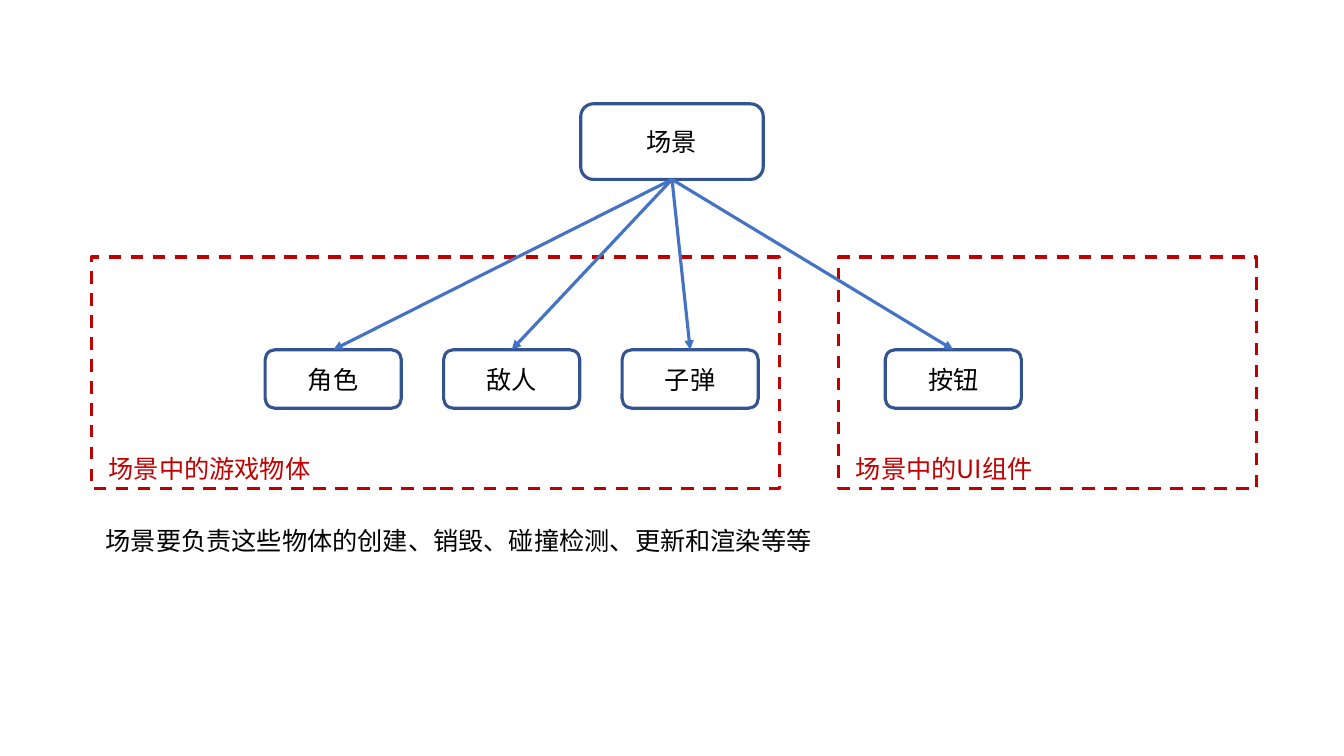
from dataclasses import dataclass

from lxml import etree
from pptx import Presentation
from pptx.dml.color import RGBColor
from pptx.enum.dml import MSO_LINE
from pptx.enum.shapes import MSO_CONNECTOR, MSO_SHAPE
from pptx.enum.text import MSO_ANCHOR, PP_ALIGN
from pptx.oxml.ns import qn
from pptx.util import Pt

EMU_PER_PX = 9144  # 100 px to the inch
RECTANGLE, ROUNDED = MSO_SHAPE.RECTANGLE, MSO_SHAPE.ROUNDED_RECTANGLE
STRAIGHT, DASH = MSO_CONNECTOR.STRAIGHT, MSO_LINE.DASH
CENTER, LEFT, MIDDLE = PP_ALIGN.CENTER, PP_ALIGN.LEFT, MSO_ANCHOR.MIDDLE
TOP_SIDE, BOTTOM_SIDE = 0, 2


@dataclass(frozen=True)
class Theme:
    node_line: RGBColor = RGBColor(0x32, 0x54, 0x91)
    arrow: RGBColor = RGBColor(0x44, 0x72, 0xC4)
    group: RGBColor = RGBColor(0xC0, 0x00, 0x00)
    text: RGBColor = RGBColor(0x00, 0x00, 0x00)
    node_font: str = "DejaVu Sans Mono"
    text_font: str = "Noto Sans CJK SC"
    text_size: Pt = Pt(18)
    line_width: Pt = Pt(2.25)


THEME = Theme()


def px(*lengths):
    return [length * EMU_PER_PX for length in lengths]


def write(frame, words, font_name, color, align):
    frame.word_wrap = True
    paragraph = frame.paragraphs[0]
    paragraph.text = words
    paragraph.alignment = align
    font = paragraph.font
    font.name, font.size = font_name, THEME.text_size
    font.color.rgb = color
    properties = paragraph._p.pPr.find(qn("a:defRPr"))
    etree.SubElement(properties, qn("a:ea"), typeface=THEME.text_font)


def add_outline(slide, kind, box, color):
    outline = slide.shapes.add_shape(kind, *px(*box))
    outline.shadow.inherit = False
    outline.fill.background()
    outline.line.color.rgb = color
    outline.line.width = THEME.line_width
    return outline


def add_node(slide, box, name):
    node = add_outline(slide, ROUNDED, box, THEME.node_line)
    node.text_frame.vertical_anchor = MIDDLE
    write(node.text_frame, name, THEME.node_font, THEME.text, CENTER)
    return node


def add_label(slide, box, words, color):
    label = slide.shapes.add_textbox(*px(*box))
    write(label.text_frame, words, THEME.text_font, color, LEFT)


def add_group(slide, box, title, names, indent):
    """Draw a dashed frame with a row of nodes and return the nodes."""
    left, top, _, height = box
    node_width, node_height, pitch = 135, 58, 177
    nodes = [
        add_node(slide, (left + indent + i * pitch, top + 92, node_width, node_height), name)
        for i, name in enumerate(names)
    ]
    frame = add_outline(slide, RECTANGLE, box, THEME.group)
    frame.line.dash_style = DASH
    add_label(slide, (left + 7, top + height - 40, 289, 40), title, THEME.group)
    return nodes


def add_arrow(slide, parent, child):
    arrow = slide.shapes.add_connector(STRAIGHT, 0, 0, 0, 0)
    arrow.begin_connect(parent, BOTTOM_SIDE)
    arrow.end_connect(child, TOP_SIDE)
    arrow.line.color.rgb = THEME.arrow
    arrow.line.width = THEME.line_width
    etree.SubElement(arrow.line._get_or_add_ln(), qn("a:tailEnd"), type="triangle")
    etree.SubElement(arrow._element.spPr, qn("a:effectLst"))


def build_scene_slide(slide):
    scene = add_node(slide, (576, 103, 181, 75), "场景")
    objects = add_group(slide, (91, 255, 682, 230), "场景中的游戏物体",
                        ("角色", "敌人", "子弹"), 172)
    components = add_group(slide, (832, 255, 414, 230), "场景中的UI组件", ("按钮",), 46)
    for child in objects + components:
        add_arrow(slide, scene, child)
    add_label(slide, (95, 516, 850, 40),
              "场景要负责这些物体的创建、销毁、碰撞检测、更新和渲染等等", THEME.text)


def main():
    deck = Presentation()
    deck.slide_width, deck.slide_height = px(1333, 750)
    blank_layout = deck.slide_layouts[6]
    build_scene_slide(deck.slides.add_slide(blank_layout))
    deck.save("out.pptx")


if __name__ == "__main__":
    main()
